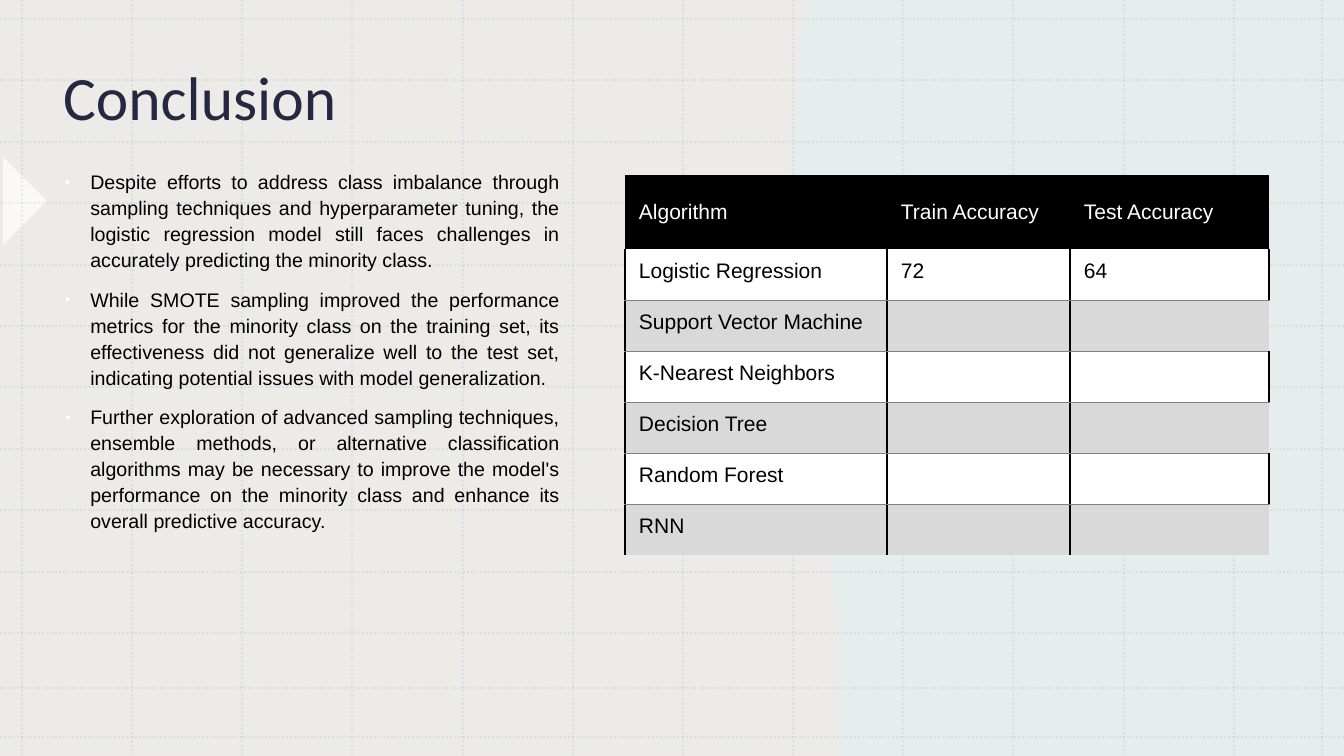
from dataclasses import dataclass

from lxml import etree
from pptx import Presentation
from pptx.dml.color import RGBColor
from pptx.enum.dml import MSO_LINE
from pptx.enum.shapes import MSO_CONNECTOR, MSO_SHAPE
from pptx.enum.text import MSO_ANCHOR, MSO_AUTO_SIZE, PP_ALIGN
from pptx.oxml.ns import qn
from pptx.util import Pt

PX = 914400 / 100.8  # EMU in one px
WIDTH, HEIGHT = 1344, 756


@dataclass(frozen=True)
class Theme:
    paper: str = "E8E7E2"
    wave: str = "E4EFEF"
    grid: str = "76A0C3"
    title: str = "242841"
    black: str = "000000"
    white: str = "FFFFFF"
    band: str = "D9D9D9"
    rule: str = "808080"
    title_font: str = "Calibri"
    text_font: str = "Arial"
    title_size: int = 44
    body_size: int = 14
    table_size: int = 15


theme = Theme()


def box(*lengths):
    return [round(length * PX) for length in lengths]


def add_run(paragraph, text, font_name, size, color):
    run = paragraph.add_run()
    run.text = text
    run.font.name = font_name
    run.font.size = Pt(size)
    run.font.color.rgb = RGBColor.from_string(color)


presentation = Presentation()
presentation.slide_width, presentation.slide_height = box(WIDTH, HEIGHT)
slide = presentation.slides.add_slide(presentation.slide_layouts[1])
shapes = slide.shapes

# Background: paper, pointer at the left edge, curved panel at the right
paper = shapes.add_shape(MSO_SHAPE.RECTANGLE, *box(0, 0, WIDTH, HEIGHT))
pointer = shapes.add_shape(MSO_SHAPE.RIGHT_TRIANGLE, *box(-28, 170, 62, 62))
pointer.rotation = 225

curve = [(840, 756), (840, 378), (763, 378), (806, 0)]
steps = 40
edge = []
for step in range(steps + 1):
    t = step / steps
    weights = ((1 - t) ** 3, 3 * t * (1 - t) ** 2, 3 * t ** 2 * (1 - t), t ** 3)
    edge.append(tuple(sum(w * point[axis] for w, point in zip(weights, curve))
                      for axis in (0, 1)))
builder = shapes.build_freeform(WIDTH, 0, scale=PX)
builder.add_line_segments([(WIDTH, HEIGHT)] + edge)
wave = builder.convert_to_shape()

for shape, color, opacity in ((paper, theme.paper, 80),
                              (pointer, theme.white, 75),
                              (wave, theme.wave, 80)):
    shape.shadow.inherit = False
    shape.fill.solid()
    shape.fill.fore_color.rgb = RGBColor.from_string(color)
    shape.line.fill.background()
    etree.SubElement(shape._element.find(".//" + qn("a:srgbClr")),
                     qn("a:alpha"), val=str(opacity * 1000))

# Dotted grid, with narrower gaps at the right and bottom edges
columns = [round(22 + 110.15 * i) for i in range(12)] + [1322]
rows = [round(19 + 61.4 * i) for i in range(11)] + [688, 737]
grid_lines = [(x, 0, x, HEIGHT) for x in columns] + [(0, y, WIDTH, y) for y in rows]
for ends in grid_lines:
    line = shapes.add_connector(MSO_CONNECTOR.STRAIGHT, *box(*ends))
    line.line.color.rgb = RGBColor.from_string(theme.grid)
    line.line.width = Pt(1.5)
    line.line.dash_style = MSO_LINE.ROUND_DOT
    etree.SubElement(line._element.find(".//" + qn("a:srgbClr")),
                     qn("a:alpha"), val="15000")
    etree.SubElement(line._element.spPr, qn("a:effectLst"))

# Title and body, brought in front of the background
title, body = shapes.title, slide.placeholders[1]
for placeholder, place, anchor in ((title, (53, 42, 431, 118), MSO_ANCHOR.MIDDLE),
                                   (body, (55, 163, 515, 559), MSO_ANCHOR.TOP)):
    (placeholder.left, placeholder.top,
     placeholder.width, placeholder.height) = box(*place)
    placeholder.text_frame.vertical_anchor = anchor
    placeholder.text_frame.auto_size = MSO_AUTO_SIZE.NONE
    shapes._spTree.append(placeholder._element)

heading = title.text_frame.paragraphs[0]
heading.alignment = PP_ALIGN.LEFT
heading.line_spacing = 0.9
add_run(heading, "Conclusion", theme.title_font, theme.title_size, theme.title)

conclusions = [
    "Despite efforts to address class imbalance through sampling techniques and "
    "hyperparameter tuning, the logistic regression model still faces challenges "
    "in accurately predicting the minority class.",
    "While SMOTE sampling improved the performance metrics for the minority class "
    "on the training set, its effectiveness did not generalize well to the test "
    "set, indicating potential issues with model generalization.",
    "Further exploration of advanced sampling techniques, ensemble methods, or "
    "alternative classification algorithms may be necessary to improve the model's "
    "performance on the minority class and enhance its overall predictive accuracy.",
]
for index, text in enumerate(conclusions):
    frame = body.text_frame
    paragraph = frame.add_paragraph() if index else frame.paragraphs[0]
    paragraph.alignment = PP_ALIGN.JUSTIFY
    paragraph.line_spacing = 1.1
    paragraph.space_before = Pt(10)
    properties = paragraph._p.get_or_add_pPr()
    properties.set("marL", "228600")
    properties.set("indent", "-228600")
    bullet_color = etree.SubElement(properties, qn("a:buClr"))
    etree.SubElement(bullet_color, qn("a:srgbClr"), val=theme.white)
    etree.SubElement(properties, qn("a:buSzPct"), val="75000")
    etree.SubElement(properties, qn("a:buFont"), typeface=theme.text_font)
    etree.SubElement(properties, qn("a:buChar"), char="•")
    add_run(paragraph, text, theme.text_font, theme.body_size, theme.black)

# Accuracy table
accuracy = [
    ("Algorithm", "Train Accuracy", "Test Accuracy"),
    ("Logistic Regression", "72", "64"),
    ("Support Vector Machine", "", ""),
    ("K-Nearest Neighbors", "", ""),
    ("Decision Tree", "", ""),
    ("Random Forest", "", ""),
    ("RNN", "", ""),
]
column_widths = (262, 183, 199)
row_heights = [73] + [51] * (len(accuracy) - 1)
table_frame = shapes.add_table(
    len(accuracy), len(column_widths),
    *box(625, 176, sum(column_widths), sum(row_heights)))
table = table_frame.table
table.first_row = True
table.horz_banding = False
# Built-in style without fills or grid
table._tbl.tblPr.find(qn("a:tableStyleId")).text = "{2D5ABB26-0587-4C30-8999-92F81FD0307C}"
for column, width in zip(table.columns, box(*column_widths)):
    column.width = width
for row, height in zip(table.rows, box(*row_heights)):
    row.height = height

black_line, grey_line = (theme.black, 1.5), (theme.rule, 0.5)
for r, texts in enumerate(accuracy):
    for c, text in enumerate(texts):
        cell = table.cell(r, c)
        last_column = c == len(texts) - 1
        # Header is black, then white and grey rows take turns
        if r == 0:
            fill, borders = theme.black, {"lnT": black_line}
        elif r % 2:
            fill = theme.white
            borders = {"lnL": black_line, "lnR": black_line, "lnB": grey_line}
        else:
            fill = theme.band
            borders = {"lnL": black_line, "lnT": grey_line}
            if not last_column:
                borders["lnR"] = black_line
        for side in ("lnL", "lnR", "lnT", "lnB"):
            if side in borders:
                color, width = borders[side]
                border = etree.SubElement(cell._tc.get_or_add_tcPr(), qn("a:" + side),
                                          w=str(Pt(width)))
                solid = etree.SubElement(border, qn("a:solidFill"))
                etree.SubElement(solid, qn("a:srgbClr"), val=color)
        cell.fill.solid()
        cell.fill.fore_color.rgb = RGBColor.from_string(fill)
        if text:
            cell.vertical_anchor = MSO_ANCHOR.TOP if r else MSO_ANCHOR.MIDDLE
            (cell.margin_left, cell.margin_top,
             cell.margin_right, cell.margin_bottom) = box(14, 11, 11, 11)
            add_run(cell.text_frame.paragraphs[0], text, theme.text_font,
                    theme.table_size, theme.black if r else theme.white)

presentation.save("out.pptx")
